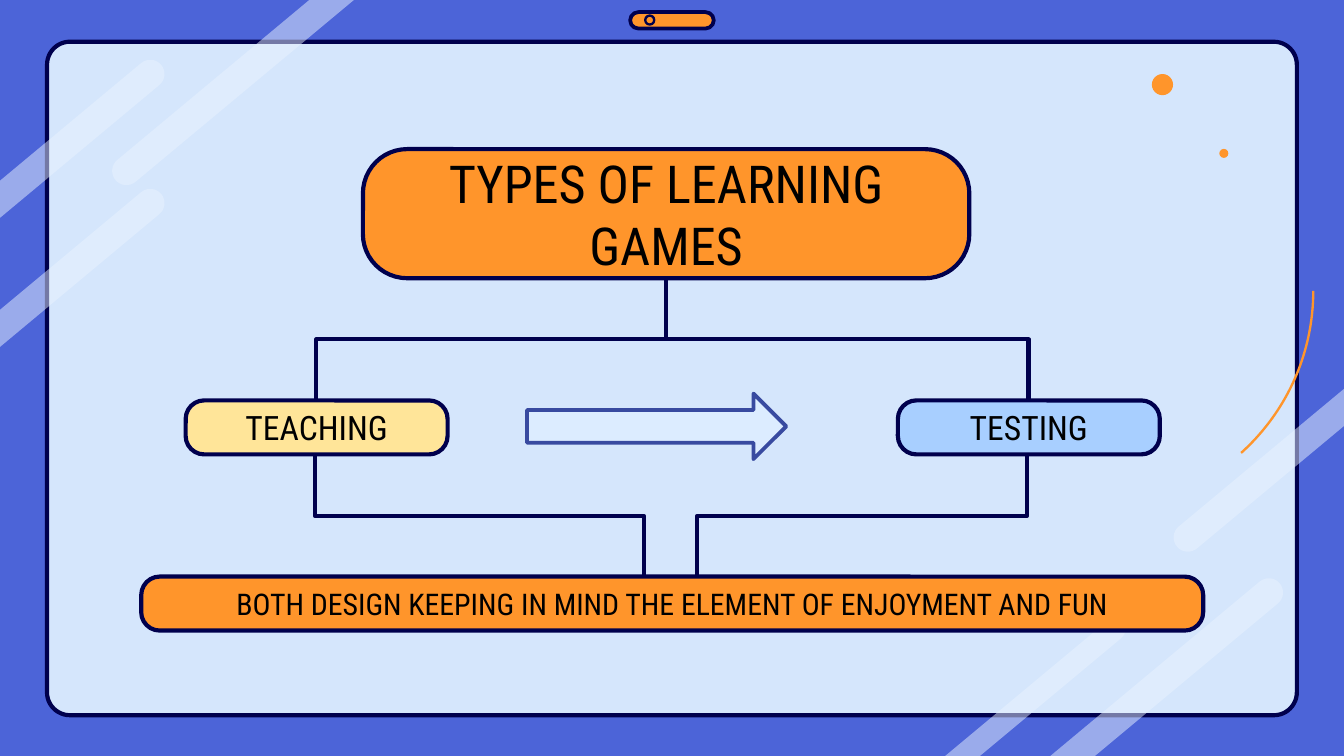
import math
from lxml import etree
from pptx import Presentation, util as u
from pptx.dml.color import RGBColor
from pptx.enum import shapes as sh, text as tx
from pptx.oxml.ns import qn

NAVY, ORANGE = "00004D", "FF952B"
WIDE, HIGH = 25.4, 14.29
KIND = sh.MSO_SHAPE


def rgb(code):
    return RGBColor.from_string(code)


def style(item, fill=None, line=None, width=2.25):
    """Set fill and outline; None means there is none."""
    item.shadow.inherit = False
    if fill:
        item.fill.solid()
        item.fill.fore_color.rgb = rgb(fill)
    else:
        item.fill.background()
    if line:
        item.line.color.rgb = rgb(line)
        item.line.width = u.Pt(width)
    else:
        item.line.fill.background()


deck = Presentation()
deck.slide_width, deck.slide_height = u.Cm(WIDE), u.Cm(HIGH)
slide = deck.slides.add_slide(deck.slide_layouts[6])
slide.background.fill.solid()
slide.background.fill.fore_color.rgb = rgb("4C64D8")
art = slide.shapes

panel = art.add_shape(KIND.ROUNDED_RECTANGLE, u.Cm(0.89), u.Cm(0.79), u.Cm(23.62), u.Cm(12.73))
panel.adjustments[0] = 0.034
style(panel, "D5E6FC", NAVY)

# Stripes: centre and radius of the round end, way up (1) or down (-1), edge met
tilt = math.radians(39.8)
stripes = [
    (23.98, 11.2, 0.27, -1, "y", HIGH),
    (21.06, 11.9, 0.21, -1, "y", HIGH),
    (2.39, 3.23, 0.27, 1, "y", 0),
    (2.84, 1.4, 0.27, -1, "x", 0),
    (2.84, 3.84, 0.27, -1, "x", 0),
    (22.45, 10.16, 0.27, 1, "x", WIDE),
]
for x, y, r, way, axis, edge in stripes:
    dx, dy = way * math.cos(tilt), -way * math.sin(tilt)
    turn = math.atan2(dy, dx) + math.pi / 2
    cap = [(x + r * math.cos(turn + math.pi * i / 16),
            y + r * math.sin(turn + math.pi * i / 16)) for i in range(17)]
    ends = []
    for px, py in (cap[-1], cap[0]):
        run = (edge - px) / dx if axis == "x" else (edge - py) / dy
        ends.append((px + run * dx, py + run * dy))
    dots = [(u.Cm(px), u.Cm(py)) for px, py in cap + ends]
    pen = art.build_freeform(*dots[0])
    pen.add_line_segments(dots[1:])
    band = pen.convert_to_shape()
    style(band, "E9F3FF")
    tint = band.fill._xPr.find(".//" + qn("a:srgbClr"))
    etree.SubElement(tint, qn("a:alpha"), val="50000")

pill = art.add_shape(KIND.ROUNDED_RECTANGLE, u.Cm(11.91), u.Cm(0.23), u.Cm(1.58), u.Cm(0.31))
pill.adjustments[0] = 0.5
style(pill, ORANGE, NAVY, 2)

# Round marks: centre, diameter, outline
for x, y, size, line in [(12.28, 0.38, 0.17, NAVY), (23.13, 2.9, 0.17, None), (21.97, 1.6, 0.4, None)]:
    dot = art.add_shape(KIND.OVAL, u.Cm(x - size / 2), u.Cm(y - size / 2), u.Cm(size), u.Cm(size))
    style(dot, ORANGE, line, 1.25)

arc = art.add_shape(KIND.ARC, u.Cm(16.58), u.Cm(1.38), u.Cm(8.24), u.Cm(8.24))
for i, angle in enumerate((-68, 48)):
    arc.adjustments[i] = angle * 0.6
style(arc, None, ORANGE, 1.25)

cards = [
    ("TYPES OF LEARNING GAMES", 28, ORANGE, 6.86, 2.82, 11.46, 2.44),
    ("TESTING", 18, "A8CFFF", 16.97, 7.57, 4.95, 1.02),
    ("TEACHING", 18, "FFE599", 3.51, 7.57, 4.95, 1.02),
    ("BOTH DESIGN KEEPING IN MIND THE ELEMENT OF ENJOYMENT AND FUN", 16, ORANGE, 2.67, 10.9, 20.07, 1.02),
]
for words, size, fill, *box in cards:
    card = art.add_shape(KIND.ROUNDED_RECTANGLE, *map(u.Cm, box))
    card.adjustments[0] = 0.343
    style(card, fill, NAVY)
    frame = card.text_frame
    frame.word_wrap = True
    frame.vertical_anchor = tx.MSO_ANCHOR.MIDDLE
    frame.margin_left = frame.margin_right = u.Cm(0.25)
    frame.margin_top = frame.margin_bottom = u.Cm(0.25)
    para = frame.paragraphs[0]
    para.text = words
    para.alignment = tx.PP_ALIGN.CENTER
    para.font.name = "Roboto Condensed"
    para.font.size = u.Pt(size)
    para.font.color.rgb = rgb("000000")

# Elbows leave upright, so each is laid out flat and given a quarter turn
links = [
    (5.98, 7.57, 12.59, 5.26),
    (19.44, 7.57, 12.59, 5.26),
    (12.17, 10.9, 5.95, 8.6),
    (13.18, 10.9, 19.41, 8.6),
]
for x1, y1, x2, y2 in links:
    x, y = (x1 + x2) / 2, (y1 + y2) / 2
    a, b = (x2 - x1) / 2, (y2 - y1) / 2
    link = art.add_connector(sh.MSO_CONNECTOR.ELBOW, u.Cm(x - b), u.Cm(y + a), u.Cm(x + b), u.Cm(y - a))
    link.line.color.rgb = rgb(NAVY)
    link.line.width = u.Pt(2.25)
    props = link._element.spPr
    props.find(qn("a:xfrm")).set("rot", "5400000")
    etree.SubElement(props, qn("a:effectLst"))

arrow = art.add_shape(KIND.RIGHT_ARROW, u.Cm(9.96), u.Cm(7.44), u.Cm(4.9), u.Cm(1.24))
style(arrow, "DCECFF", "384AA0", 2)

deck.save("out.pptx")
